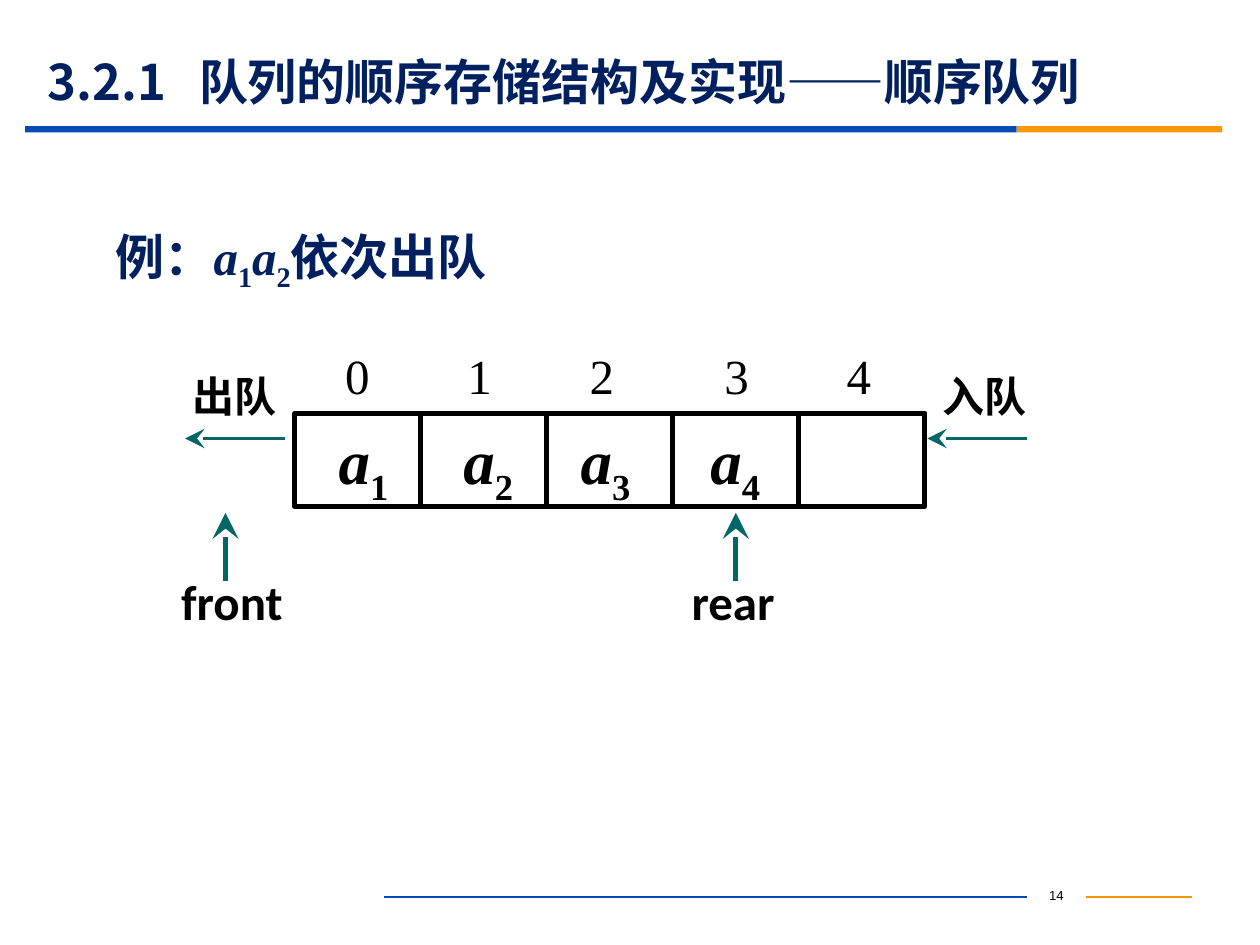
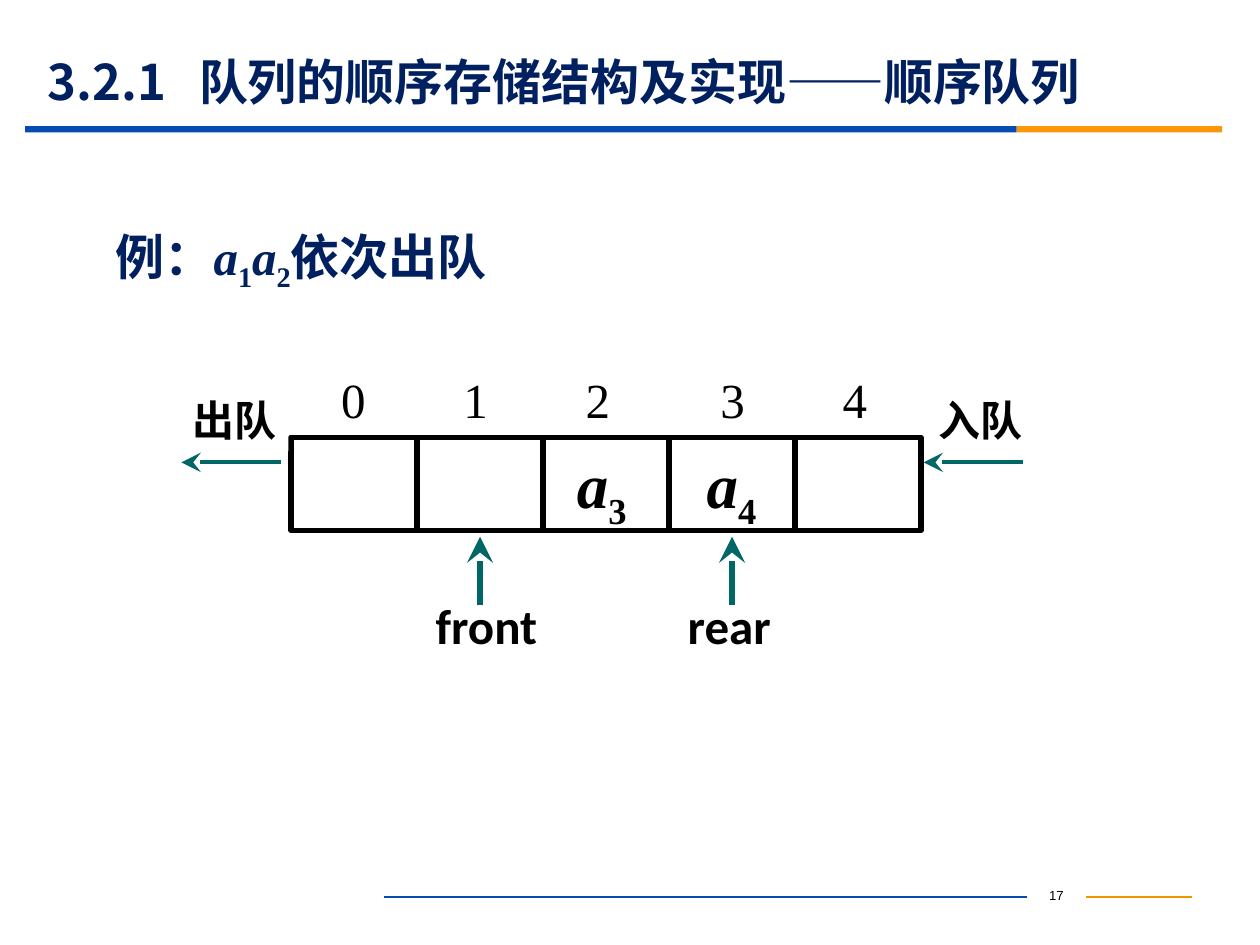
"""Builds two slides that show elements leaving a sequential queue."""
from lxml import etree
from pptx import Presentation
from pptx.dml.color import RGBColor
from pptx.enum.shapes import MSO_CONNECTOR, MSO_SHAPE
from pptx.enum.text import MSO_ANCHOR, MSO_AUTO_SIZE, PP_ALIGN
from pptx.oxml.ns import qn
from pptx.util import Inches, Pt

RECTANGLE = MSO_SHAPE.RECTANGLE
STRAIGHT = MSO_CONNECTOR.STRAIGHT
LEFT, CENTER, RIGHT = PP_ALIGN.LEFT, PP_ALIGN.CENTER, PP_ALIGN.RIGHT
MIDDLE = MSO_ANCHOR.MIDDLE
GROW, FIXED = MSO_AUTO_SIZE.SHAPE_TO_FIT_TEXT, MSO_AUTO_SIZE.NONE

COLUMNS, ROWS = 100, 75
WIDTH, HEIGHT = Inches(10), Inches(7.5)
TITLE = "3.2.1\t队列的顺序存储结构及实现——顺序队列"

NAVY, BLUE, ORANGE, GOLD = "002060", "064BB2", "FB9708", "F19500"
TEAL, BLACK, WHITE = "006666", "000000", "FFFFFF"
ASIAN_FONT = "Noto Sans CJK SC"

STYLES = {
    "title": {"name": ASIAN_FONT, "size": Pt(28), "bold": True},
    "example": {"name": "Times New Roman", "size": Pt(28), "bold": True},
    "index": {"name": "Times New Roman", "size": Pt(28), "bold": False},
    "end": {"name": "Times New Roman", "size": Pt(24), "bold": True},
    "element": {"name": "Times New Roman", "size": Pt(36), "bold": True},
    "pointer": {"name": "Calibri", "size": Pt(28), "bold": True},
    "number": {"name": "Arial", "size": Pt(7.5), "bold": False},
}

CELL_COUNT, CELL_WIDTH, CELL_HEIGHT = 5, 10, 7.4
ELEMENT_INSETS = (2.5, 2.4, 1.7, 2)
INDEX_TABS = (9.7, 19.4, 30.1, 39.8)


def color(hex_value):
    """Return the colour for a hex string."""
    return RGBColor.from_string(hex_value)


def element_name(index):
    """Return the runs of an italic a with a subscript."""
    return [("a", {"italic": True}), (str(index), {"baseline": -25})]


class SlideBuilder:
    """Holds the presentation, the current slide and the shared style."""

    def __init__(self):
        """Open a presentation of the right size."""
        self.presentation = Presentation()
        self.presentation.slide_width = WIDTH
        self.presentation.slide_height = HEIGHT
        self.slide = None

    def across(self, columns):
        """Convert grid columns to a length."""
        return round(WIDTH * columns / COLUMNS)

    def down(self, rows):
        """Convert grid rows to a length."""
        return round(HEIGHT * rows / ROWS)

    def place(self, left, top, width, height):
        """Convert a grid box to lengths."""
        return (self.across(left), self.down(top),
                self.across(width), self.down(height))

    def box(self, left, top, width, height, fill, line=None):
        """Add a filled rectangle."""
        shape = self.slide.shapes.add_shape(
            RECTANGLE, *self.place(left, top, width, height))
        shape.shadow.inherit = False
        shape.fill.solid()
        shape.fill.fore_color.rgb = color(fill)
        if line:
            shape.line.color.rgb = color(line)
            shape.line.width = Pt(3)
        else:
            shape.line.fill.background()
        return shape

    def line(self, start, end, line_color, width, arrow=False):
        """Add a line, with an arrowhead at its end if asked."""
        connector = self.slide.shapes.add_connector(
            STRAIGHT, self.across(start[0]), self.down(start[1]),
            self.across(end[0]), self.down(end[1]))
        connector.line.color.rgb = color(line_color)
        connector.line.width = Pt(width)
        properties = connector._element.spPr
        if arrow:
            etree.SubElement(properties.find(qn("a:ln")), qn("a:tailEnd"),
                             type="stealth", w="lg", len="lg")
        etree.SubElement(properties, qn("a:effectLst"))

    def fill_text(self, shape, runs, style, text_color=BLACK, align=LEFT,
                  size_rule=GROW, tabs=()):
        """Put one paragraph of styled runs into a shape."""
        frame = shape.text_frame
        frame.word_wrap = True
        frame.auto_size = size_rule
        paragraph = frame.paragraphs[0]
        paragraph.alignment = align
        if tabs:
            tab_list = etree.SubElement(
                paragraph._p.get_or_add_pPr(), qn("a:tabLst"))
            for stop in tabs:
                etree.SubElement(tab_list, qn("a:tab"),
                                 pos=str(self.across(stop)), algn="l")
        for text, changes in runs:
            run = paragraph.add_run()
            run.text = text
            formats = {**STYLES[style], **changes}
            baseline = formats.pop("baseline", 0)
            for key, value in formats.items():
                setattr(run.font, key, value)
            run.font.color.rgb = color(text_color)
            properties = run._r.get_or_add_rPr()
            if baseline:
                properties.set("baseline", str(baseline * 1000))
            etree.SubElement(properties, qn("a:ea"), typeface=ASIAN_FONT)

    def text(self, left, top, width, height, runs, style, **options):
        """Add a text box."""
        shape = self.slide.shapes.add_textbox(
            *self.place(left, top, width, height))
        self.fill_text(shape, runs, style, **options)

    def start_slide(self, number):
        """Add a slide with the shared title, bands and footer."""
        layout = self.presentation.slide_layouts[5]
        self.slide = self.presentation.slides.add_slide(layout)
        self.box(2, 10, 78.7, 0.5, BLUE)
        self.box(80.7, 10, 16.3, 0.5, ORANGE)
        self.line((30.5, 71.2), (81.5, 71.2), BLUE, 0.75)
        self.line((86.2, 71.2), (94.6, 71.2), GOLD, 0.75)
        self.text(81.5, 69.9, 4.7, 2.5, [(number, {})], "number",
                  align=CENTER, size_rule=FIXED)
        title = self.slide.shapes.title
        bounds = self.place(2.8, 4.3, 90, 4.3)
        for key, value in zip(("left", "top", "width", "height"), bounds):
            setattr(title, key, value)
        title.text_frame.vertical_anchor = MIDDLE
        self.fill_text(title, [(TITLE, {})], "title", text_color=NAVY,
                       size_rule=FIXED, tabs=[12])

    def example(self):
        """Add the line that names the example."""
        runs = [("例：", {}), *element_name(1), *element_name(2), ("依次出队", {})]
        self.text(8.2, 17.5, 36.9, 5.7, runs, "example", text_color=NAVY)

    def queue_end(self, label, label_left, label_width, arrow_left, top, align):
        """Add the label and the left-pointing arrow at one end."""
        self.line((arrow_left + 7.9, top + 2), (arrow_left, top + 2),
                  TEAL, 2.25, arrow=True)
        shape = self.box(label_left, top - 3.9, label_width, 5, WHITE)
        self.fill_text(shape, [(label, {})], "end", align=align)

    def pointer(self, label, center, top):
        """Add an upward arrow with its name below."""
        self.line((center, top + 13.3), (center, top + 7.9),
                  TEAL, 3, arrow=True)
        self.text(center - 4.5, top + 12.1, 11.3, 5.7,
                  [(label, {})], "pointer")

    def queue(self, left, top, filled, front, rear):
        """Add the array, its elements, its ends and both pointers."""
        for slot in range(CELL_COUNT):
            self.box(left + slot * CELL_WIDTH, top, CELL_WIDTH, CELL_HEIGHT,
                     WHITE, BLACK)
        indexes = self.box(left + 3, top - 5.9, 46.8, 5.7, WHITE)
        numbers = "\t".join(str(slot) for slot in range(CELL_COUNT))
        self.fill_text(indexes, [(numbers, {})], "index", tabs=INDEX_TABS)
        right = left + CELL_COUNT * CELL_WIDTH
        self.queue_end("入队", right + 0.4, 10.8, right + 0.2, top, LEFT)
        self.queue_end("出队", 12.9, 10, left - 8.7, top, RIGHT)
        for slot in filled:
            self.text(left + slot * CELL_WIDTH + ELEMENT_INSETS[slot],
                      top + 0.2, 6.4, 7, element_name(slot + 1), "element")
        for label, slot in (("rear", rear), ("front", front)):
            self.pointer(label, left + (slot + 0.5) * CELL_WIDTH, top)


def main():
    """Build both states of the queue and save them."""
    builder = SlideBuilder()
    states = (
        ("14", 23.4, 32.8, range(4), -1.05),
        ("17", 23.1, 34.7, range(2, 4), 1),
    )
    for number, left, top, filled, front in states:
        builder.start_slide(number)
        builder.example()
        builder.queue(left, top, filled, front, rear=3)
    builder.presentation.save("out.pptx")


if __name__ == "__main__":
    main()
